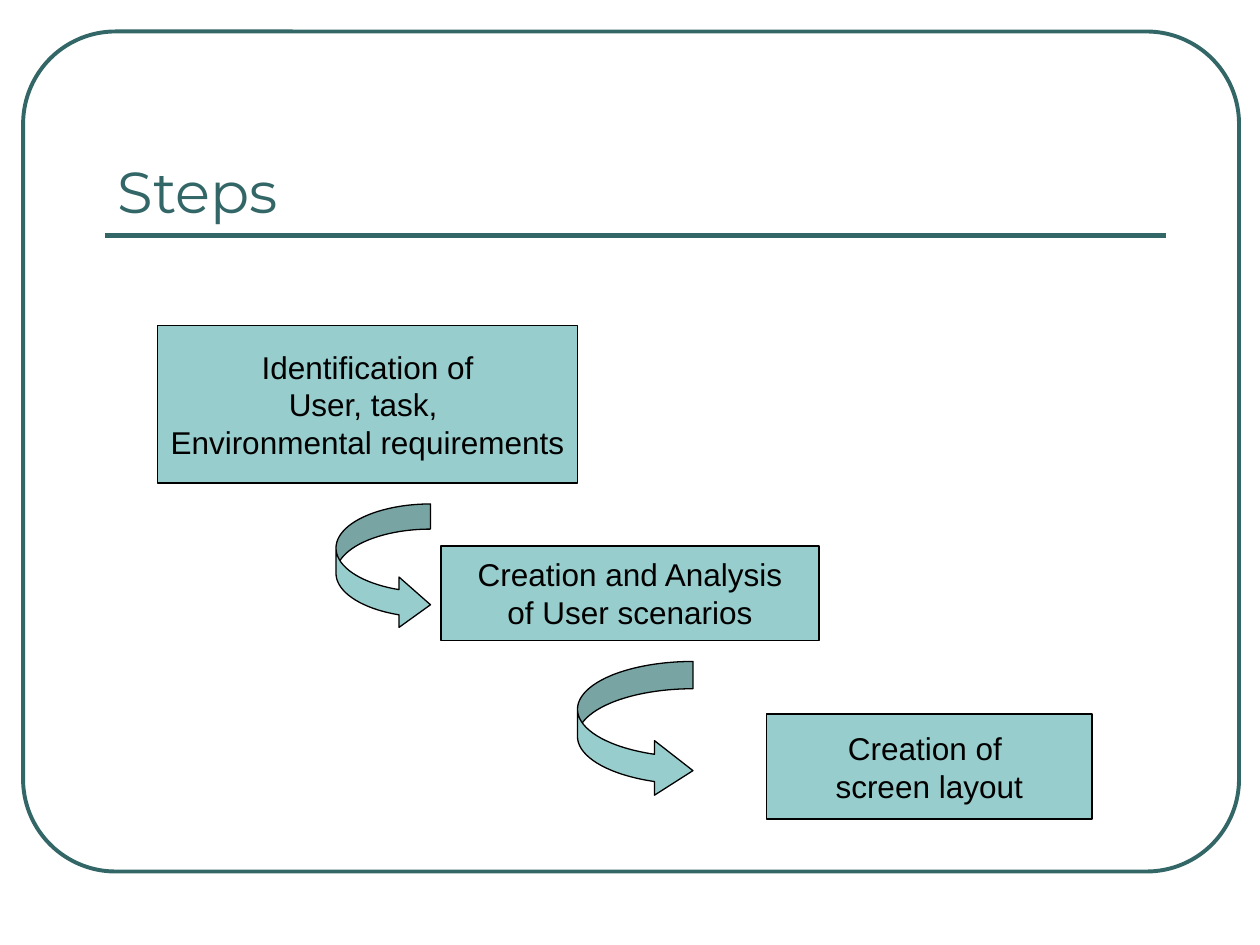
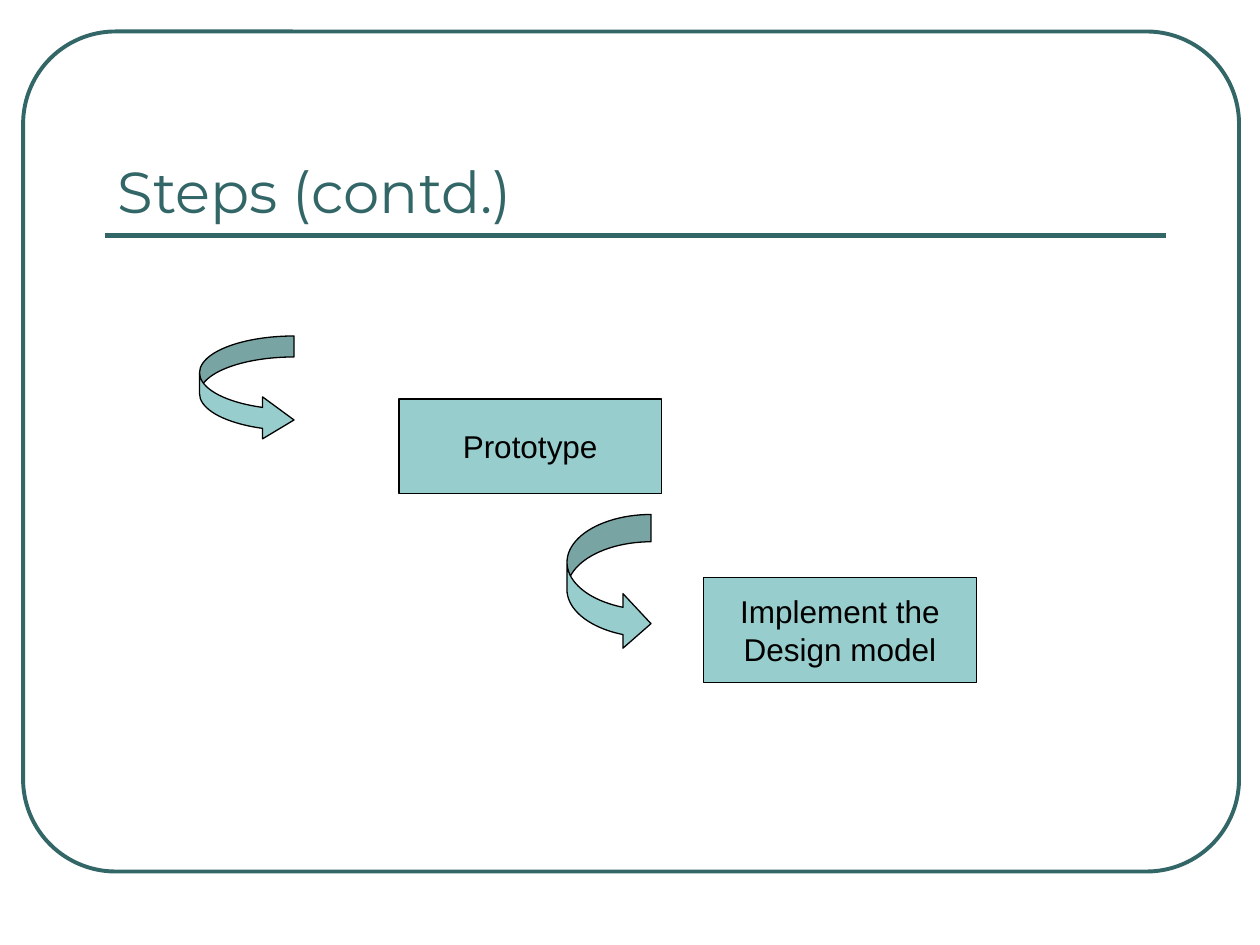
from pptx import Presentation
from pptx.dml.color import RGBColor
from pptx.enum.shapes import MSO_CONNECTOR, MSO_SHAPE
from pptx.enum.text import MSO_ANCHOR, PP_ALIGN
from pptx.oxml.ns import qn
from pptx.util import Inches, Pt

RECTANGLE = MSO_SHAPE.RECTANGLE
ROUNDED = MSO_SHAPE.ROUNDED_RECTANGLE
CURVED_ARROW = MSO_SHAPE.CURVED_RIGHT_ARROW
STRAIGHT = MSO_CONNECTOR.STRAIGHT
LEFT, CENTER = PP_ALIGN.LEFT, PP_ALIGN.CENTER
MIDDLE, BOTTOM = MSO_ANCHOR.MIDDLE, MSO_ANCHOR.BOTTOM

TEAL = RGBColor(0x33, 0x66, 0x66)
AQUA = RGBColor(0x97, 0xCD, 0xCC)
BLACK = RGBColor(0, 0, 0)

TITLE_FONT, BODY_FONT = "Montserrat", "Arial"
TITLE_ONLY = 5

# The slide is a grid of 120 columns by 90 rows, twelve to the inch.
CELL = Inches(1) / 12
TITLE_BOX = (10, 7, 101, 15)
FRAME_BOX = (2.2, 3, 115.8, 80)
RULE_ROW = 22.4

# Each slide: title, steps as (box, text), and the boxes of its arrows.
SLIDES = [
    (
        "Steps",
        [
            ((15, 31, 40, 15), "Identification of\nUser, task, \nEnvironmental requirements"),
            ((42, 52, 36, 9), "Creation and Analysis\nof User scenarios"),
            ((73, 68, 31, 10), "Creation of \nscreen layout"),
        ],
        [(32, 48, 9, 12), (55, 63, 11, 13)],
    ),
    (
        "Steps (contd.)",
        [
            ((38, 38, 25, 9), "Prototype"),
            ((67, 55, 26, 10), "Implement the\nDesign model"),
        ],
        [(19, 32, 9, 10), (54, 49, 8, 13)],
    ),
]


def grid(*cells):
    return [round(cell * CELL) for cell in cells]


def set_line(shape, color, width):
    shape.line.color.rgb = color
    shape.line.width = Pt(width)


def style_text(frame, font_name, size, color, alignment, anchor):
    frame.vertical_anchor = anchor
    for para in frame.paragraphs:
        para.alignment = alignment
        for span in para.runs:
            span.font.name = font_name
            span.font.size = Pt(size)
            span.font.color.rgb = color


def add_filled_shape(page, kind, box):
    shape = page.shapes.add_shape(kind, *grid(*box))
    shape.shadow.inherit = False
    shape.fill.solid()
    shape.fill.fore_color.rgb = AQUA
    set_line(shape, BLACK, 0.75)
    return shape


def add_step(page, box, text):
    step = add_filled_shape(page, RECTANGLE, box)
    frame = step.text_frame
    frame.text = text
    frame.word_wrap = False
    style_text(frame, BODY_FONT, 18, BLACK, CENTER, MIDDLE)


def add_step_arrow(page, box):
    """Band a fifth and head two fifths of the height; head a third of the width."""
    arrow = add_filled_shape(page, CURVED_ARROW, box)
    width, height = box[2:]
    shorter = min(width, height)
    for index, length in enumerate((height / 5, height * 2 / 5, width / 3)):
        arrow.adjustments[index] = length / shorter


def decorate_layout(layout, page):
    """Place the title, and draw the frame and rule on page to move them to its layout."""
    title = layout.placeholders[0]
    title.left, title.top, title.width, title.height = grid(*TITLE_BOX)

    frame = page.shapes.add_shape(ROUNDED, *grid(*FRAME_BOX))
    frame.adjustments[0] = 0.11
    frame.shadow.inherit = False
    frame.fill.background()
    set_line(frame, TEAL, 2.25)

    left, _, width, _ = TITLE_BOX
    rule = page.shapes.add_connector(
        STRAIGHT, *grid(left, RULE_ROW, left + width, RULE_ROW))
    set_line(rule, TEAL, 3)
    properties = rule.element.spPr
    properties.append(properties.makeelement(qn("a:effectLst"), {}))

    for shape in (frame, rule):
        layout.shapes.element.append(shape.element)


def fill_steps_slide(page, title, steps, arrows):
    frame = page.shapes.title.text_frame
    frame.text = title
    style_text(frame, TITLE_FONT, 33, TEAL, LEFT, BOTTOM)
    for box, text in steps:
        add_step(page, box, text)
    for box in arrows:
        add_step_arrow(page, box)


def main():
    deck = Presentation()
    deck.slide_width, deck.slide_height = grid(120, 90)
    layout = deck.slide_layouts[TITLE_ONLY]
    pages = [deck.slides.add_slide(layout) for _ in SLIDES]
    decorate_layout(layout, pages[0])
    for page, content in zip(pages, SLIDES):
        fill_steps_slide(page, *content)
    deck.save("out.pptx")


if __name__ == "__main__":
    main()
